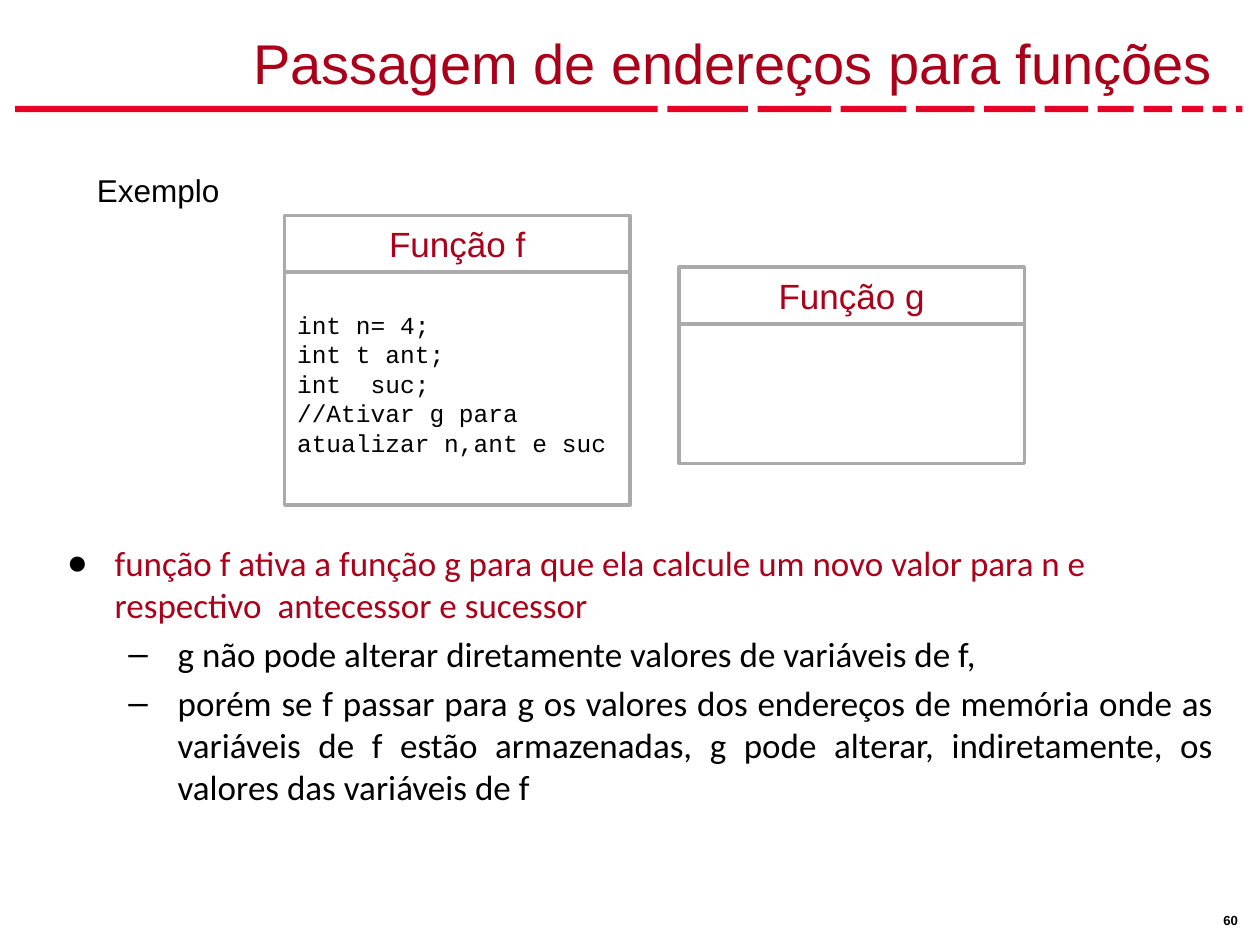
from pptx import Presentation
from pptx.dml.color import RGBColor
from pptx.enum.shapes import MSO_SHAPE as Shape
from pptx.enum.text import MSO_ANCHOR as Anchor, MSO_AUTO_SIZE as AutoSize, PP_ALIGN as Align
from pptx.oxml.ns import qn
from pptx.util import Inches, Pt
from lxml.etree import SubElement

COLORS = {"title": "AA001A", "accent": "AB011A", "rule": "E40123",
          "border": "AAAAAB", "paper": "FFFFFF", "ink": "000000"}


def color(name):
    return RGBColor.from_string(COLORS[name])


def write_text(frame, text, font="Arial", size=18, ink="ink", bold=False,
               align=Align.LEFT, before=0, first=True):
    paragraph = frame.paragraphs[0] if first else frame.add_paragraph()
    paragraph.alignment = align
    paragraph.space_before = Pt(before)
    run = paragraph.add_run()
    run.text = text
    run.font.name, run.font.size, run.font.bold = font, Pt(size), bold
    run.font.color.rgb = color(ink)
    return paragraph


def add_bullet(paragraph, char, level, margin, indent):
    paragraph.level = level
    props = paragraph._p.get_or_add_pPr()
    props.set("marL", str(Inches(margin)))
    props.set("indent", str(Inches(indent)))
    bullet_color = SubElement(props, qn("a:buClr"))
    SubElement(bullet_color, qn("a:srgbClr"), val=COLORS["ink"])
    SubElement(props, qn("a:buFont"), typeface="Arial")
    SubElement(props, qn("a:buChar"), char=char)


def place(shape, left, top, width, height):
    shape.left, shape.top = Inches(left), Inches(top)
    shape.width, shape.height = Inches(width), Inches(height)


def add_box(slide, left, top, width, height, fill, border=None):
    box = slide.shapes.add_shape(Shape.RECTANGLE, Inches(left), Inches(top),
                                 Inches(width), Inches(height))
    box.shadow.inherit = False
    box.fill.solid()
    box.fill.fore_color.rgb = color(fill)
    if border:
        box.line.color.rgb = color(border)
        box.line.width = Pt(2)
    else:
        box.line.fill.background()
    return box


def add_label(slide, text, left, top, width, height, wrap=False, **style):
    frame = slide.shapes.add_textbox(Inches(left), Inches(top),
                                     Inches(width), Inches(height)).text_frame
    frame.word_wrap = wrap
    write_text(frame, text, **style)
    return frame


def add_dashed_rule(slide, left, top, width, height):
    """One long bar, then dashes that shrink evenly to the right edge."""
    bar = 5.1
    dashes = [0.64 - 0.059 * i for i in range(11)]
    gap = (width - bar - sum(dashes)) / len(dashes)
    for part in [bar] + dashes:
        add_box(slide, left, top, part, height, "rule")
        left += part + gap


def add_title(slide, *area):
    title = slide.shapes.title
    place(title, *area)
    frame = title.text_frame
    frame.auto_size = AutoSize.NONE
    frame.vertical_anchor = Anchor.BOTTOM
    write_text(frame, "Passagem de endereços para funções", size=32,
               ink="title", align=Align.RIGHT)


def add_function_card(slide, name, code, left, top, width, height):
    header_height = 0.45
    header = add_box(slide, left, top, width, header_height, "paper", "border")
    header.text_frame.vertical_anchor = Anchor.MIDDLE
    write_text(header.text_frame, name, size=20, ink="accent", align=Align.CENTER)

    body = add_box(slide, left, top + header_height, width,
                   height - header_height, "paper", "border")
    frame = body.text_frame
    frame.vertical_anchor = Anchor.TOP
    frame.margin_top = Inches(0.3)
    for i, line in enumerate(code):
        write_text(frame, line, font="Courier New", size=14, first=i == 0)


def add_explanation(slide, *area):
    body = slide.placeholders[1]
    place(body, *area)
    frame = body.text_frame
    frame.auto_size = AutoSize.NONE
    points = [
        (0, Align.LEFT, "função f ativa a função g para que ela calcule um novo valor "
                        "para n e respectivo  antecessor e sucessor"),
        (1, Align.LEFT, "g não pode alterar diretamente valores de variáveis de f,"),
        (1, Align.JUSTIFY, "porém se f passar para g os valores dos endereços de memória "
                           "onde as variáveis de f estão armazenadas, g pode alterar, "
                           "indiretamente, os valores das variáveis de f"),
    ]
    bullets = [("●", 0, 0.5, -0.38), ("–", 1, 1, -0.39)]
    for i, (level, align, text) in enumerate(points):
        point = write_text(frame, text, font="Calibri", size=20,
                           ink="ink" if level else "accent", align=align,
                           before=4 if i else 0, first=i == 0)
        add_bullet(point, *bullets[level])


def main():
    deck = Presentation()
    deck.slide_width, deck.slide_height = Inches(10), Inches(7.5)
    slide = deck.slides.add_slide(deck.slide_layouts[1])

    # Heading and rule
    add_dashed_rule(slide, 0.12, 0.84, 9.74, 0.05)
    add_title(slide, 0.31, 0.08, 9.42, 0.73)

    # Example with the two functions
    add_label(slide, "Exemplo", 0.67, 1.31, 1.18, 0.4)
    add_function_card(slide, "Função g", [], 5.39, 2.12, 2.74, 1.56)
    code = ["int n= 4;", "int t ant;", "int  suc;",
            "//Ativar g para atualizar n,ant e suc"]
    add_function_card(slide, "Função f", code, 2.26, 1.71, 2.74, 2.3)

    # Explanation and page number
    add_explanation(slide, 0.31, 4.25, 9.42, 2.84)
    number = add_label(slide, "60", 9.63, 7.2, 0.33, 0.2, size=7.5, bold=True)
    number.margin_left = number.margin_right = Inches(0.08)
    number.margin_top = number.margin_bottom = Inches(0.04)

    deck.save("out.pptx")


if __name__ == "__main__":
    main()
